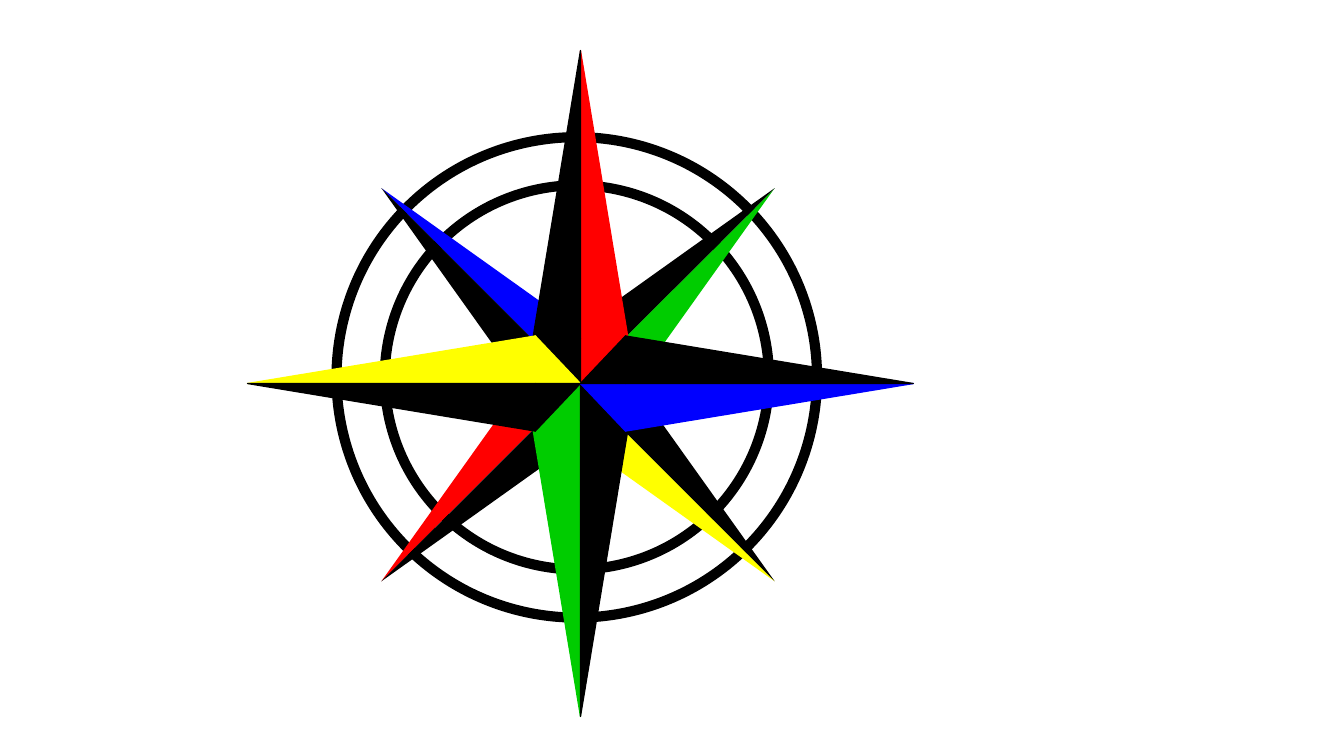
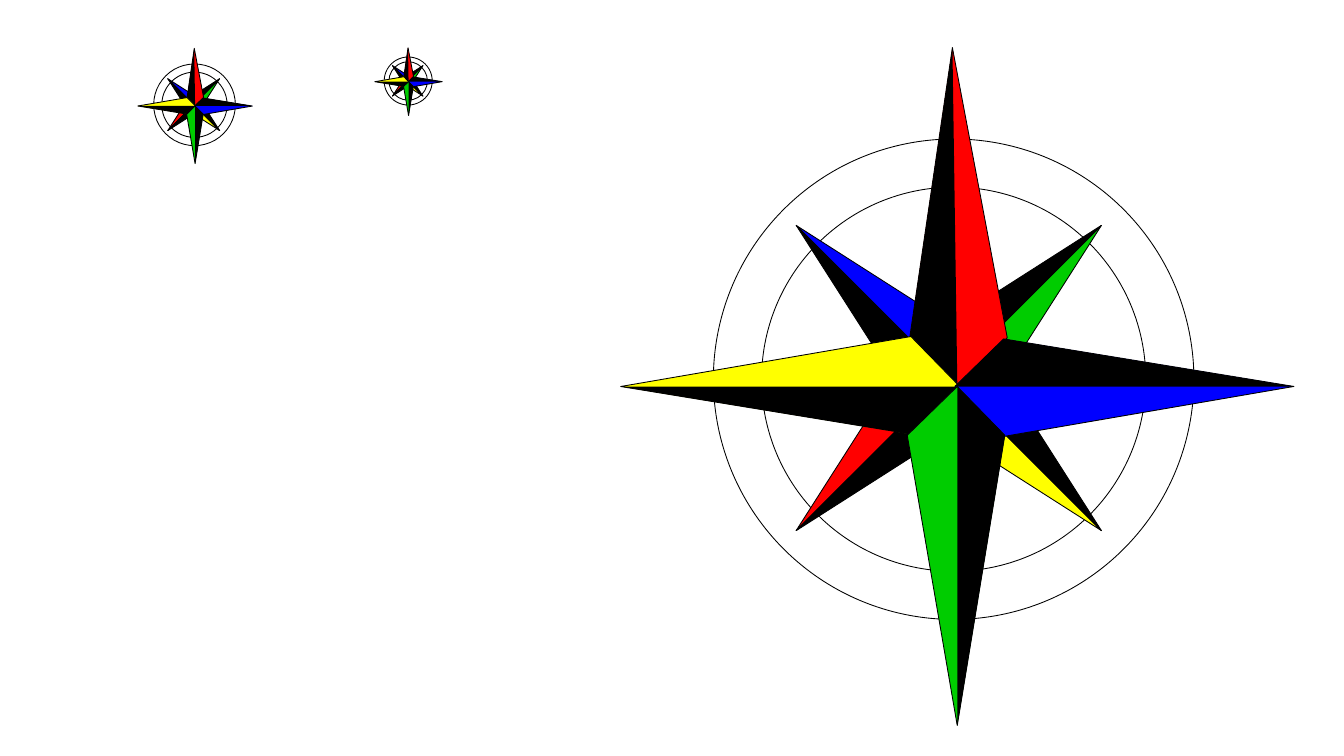
from dataclasses import dataclass
from math import cos, radians, sin

from pptx import Presentation, util as u
from pptx.dml.color import RGBColor
from pptx.enum import shapes as s
from pptx.oxml.ns import qn

SLIDE_W, SLIDE_H = 11.02, 6.2


@dataclass(frozen=True)
class Theme:
    red: str = "FF0000"
    green: str = "00CC00"
    yellow: str = "FFFF00"
    blue: str = "0000FF"
    dark: str = "000000"
    bold_ring: float = 6
    thin_line: float = 0.5
    hairline: float = 0


THEME = Theme()

# Compass bearings, clockwise from north, and the bright colour of each ray
BEARINGS = {"N": 0, "NE": 45, "E": 90, "SE": 135,
            "S": 180, "SW": 225, "W": 270, "NW": 315}
BRIGHT = {"N": THEME.red, "NE": THEME.green, "E": THEME.blue, "SE": THEME.yellow,
          "S": THEME.green, "SW": THEME.red, "W": THEME.yellow, "NW": THEME.blue}

# Ring radii of a full-size rose, in inches
RING_RADII = (1.97, 1.575)


@dataclass
class Rose:
    """A group with a centre (percent of the slide) and a scale."""
    group: object
    across: float
    down: float
    scale: float = 1

    def place(self, x, y):
        """EMU position of a point given in rose inches from the centre."""
        return (u.Inches(SLIDE_W * self.across / 100 + x * self.scale),
                u.Inches(SLIDE_H * self.down / 100 + y * self.scale))

    def size(self, length):
        return u.Inches(length * self.scale)


def turn(bearing, right, forward):
    """Turn a step right of and forward along a bearing into x and y."""
    a = radians(bearing)
    return (right * cos(a) + forward * sin(a),
            right * sin(a) - forward * cos(a))


def paint(shape, fill=None, line=None, width=0):
    shape.shadow.inherit = False
    if fill:
        shape.fill.solid()
        shape.fill.fore_color.rgb = RGBColor.from_string(fill)
    else:
        shape.fill.background()
    if line:
        shape.line.color.rgb = RGBColor.from_string(line)
        shape.line.width = u.Pt(width)
    else:
        shape.line.fill.background()


def add_centred(rose, kind, x, y, width, height):
    left, top = rose.place(x - width / 2, y - height / 2)
    return rose.group.shapes.add_shape(
        kind, left, top, rose.size(width), rose.size(height))


def add_rings(rose, offset, width):
    for radius in RING_RADII:
        ring = add_centred(rose, s.MSO_SHAPE.OVAL, *offset, 2 * radius, 2 * radius)
        paint(ring, line=THEME.dark, width=width)


def add_facet(rose, bearing, origin, side, near, far, width, inward=False):
    """Right triangle on one side of a ray, pointing outward or inward."""
    dx, dy = turn(bearing, side * width / 2, (near + far) / 2)
    facet = add_centred(rose, s.MSO_SHAPE.RIGHT_TRIANGLE,
                        origin[0] + dx, origin[1] + dy, width, far - near)
    facet.rotation = bearing
    xfrm = facet._element.spPr.find(qn("a:xfrm"))
    if side < 0:
        xfrm.set("flipH", "1")
    if inward:
        xfrm.set("flipV", "1")
    return facet


def add_polygon(rose, points, **look):
    start, *rest = [rose.place(*point) for point in points]
    builder = rose.group.shapes.build_freeform(*start, scale=1.0)
    builder.add_line_segments(rest, close=True)
    paint(builder.convert_to_shape(), **look)


def sides(name):
    """Bright right half, then dark left half."""
    return (1, BRIGHT[name]), (-1, THEME.dark)


def draw_faceted_rose(rose):
    """Rose whose rays are each made of four triangles."""
    add_rings(rose, (-0.03, -0.05), THEME.bold_ring)

    def add_rays(names, origin, width, shoulder, tip, outlined):
        for name in names:
            for side, colour in sides(name):
                for near, far, inward in ((shoulder, tip, False), (0, shoulder, True)):
                    facet = add_facet(rose, BEARINGS[name], origin, side,
                                      near, far, width, inward)
                    paint(facet, fill=colour, line=colour if outlined else None,
                          width=THEME.hairline)

    add_rays(("SW", "NE", "SE", "NW"), (-0.02, 0.01), 0.33, 0.31, 2.28, False)
    add_rays("NSWE", (0, 0), 0.39, 0.37, 2.73, True)


def draw_outlined_rose(rose):
    """Rose of thin outlined rays: triangles behind, kites in front."""
    outline = dict(line=THEME.dark, width=THEME.thin_line)
    add_rings(rose, (-0.03, -0.06), THEME.thin_line)

    # Diagonal rays
    for name in ("NW", "SE", "SW", "NE"):
        for side, colour in sides(name):
            facet = add_facet(rose, BEARINGS[name], (-0.07, -0.07), side, 0, 1.77, 0.39)
            paint(facet, fill=colour, **outline)

    # Main rays: how far each starts behind the centre, and its tip's lean
    for name, setback, lean in (("N", 0, -0.04), ("W", 0.02, 0),
                                ("E", 0.02, 0), ("S", 0, 0)):
        heel, right, tip, left = (
            turn(BEARINGS[name], across, along - setback)
            for across, along in ((0, 0), (0.41, 0.4), (lean, 2.78), (-0.39, 0.4)))
        add_polygon(rose, (heel, right, tip, left), fill=BRIGHT[name], **outline)
        add_polygon(rose, (heel, tip, left), fill=THEME.dark)


def main():
    deck = Presentation()
    deck.slide_width, deck.slide_height = u.Inches(SLIDE_W), u.Inches(SLIDE_H)
    blank = deck.slide_layouts[6]

    # One large rose
    large = deck.slides.add_slide(blank)
    draw_faceted_rose(Rose(large.shapes.add_group_shape(), 43.19, 50.73))

    # The same rose at three sizes
    sizes = deck.slides.add_slide(blank)
    for across, down, scale in ((71.23, 51.13, 1), (14.52, 14.03, 0.17),
                                (30.4, 10.81, 0.1)):
        draw_outlined_rose(Rose(sizes.shapes.add_group_shape(), across, down, scale))

    deck.save("out.pptx")


if __name__ == "__main__":
    main()
